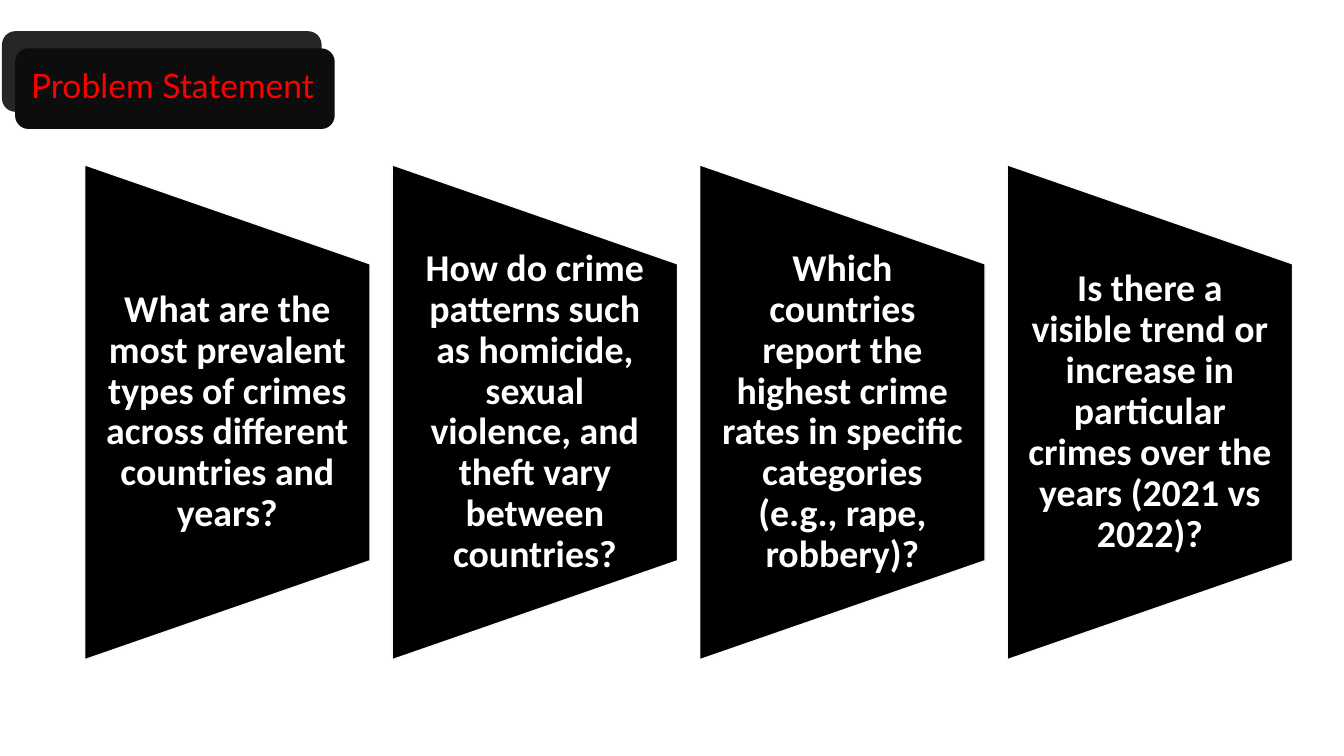
from pptx import Presentation
from pptx.dml.color import RGBColor
from pptx.enum.shapes import MSO_SHAPE
from pptx.enum.text import MSO_ANCHOR, MSO_AUTO_SIZE, PP_ALIGN
from pptx.util import Inches, Pt

ROUND = MSO_SHAPE.ROUNDED_RECTANGLE
FLOW = MSO_SHAPE.FLOWCHART_MANUAL_OPERATION
MIDDLE, TOP = MSO_ANCHOR.MIDDLE, MSO_ANCHOR.TOP
CENTER, LEFT = PP_ALIGN.CENTER, PP_ALIGN.LEFT
GROW, FIXED = MSO_AUTO_SIZE.SHAPE_TO_FIT_TEXT, MSO_AUTO_SIZE.NONE

TITLE = "Problem Statement"
ASKS = [
    "What are the most prevalent types of crimes across different countries and years?",
    "How do crime patterns such as homicide, sexual violence, and theft vary between countries?",
    "Which countries report the highest crime rates in specific categories (e.g., rape, robbery)?",
    "Is there a visible trend or increase in particular crimes over the years (2021 vs 2022)?",
]
THEME = {
    "back": "262626", "front": "0D0D0D", "panel": "000000", "edge": "F8F8F8",
    "title": {"name": "Lato", "size": Pt(24), "bold": False},
    "ask": {"name": "Calibri", "size": Pt(27), "bold": True},
    "title_ink": "FF0000", "ask_ink": "FFFFFF",
}
PLATES = [(0.02, 0.31, "back"), (0.15, 0.48, "front")]
PLATE = (3.17, 0.8)
START, STEP, WIDE, TALL, MID = 0.84, 3.05, 2.83, 4.91, 4.09
BODY = 2.95


def tint(key):
    return RGBColor.from_string(THEME[key])


def put(obj, vals):
    for key, val in vals.items():
        setattr(obj, key, val)


def block(kind, box, fill, edge=None):
    item = slide.shapes.add_shape(kind, *map(Inches, box))
    item.shadow.inherit = False
    item.fill.solid()
    item.fill.fore_color.rgb = tint(fill)
    if edge:
        item.line.color.rgb = tint(edge)
        item.line.width = Pt(1)
    else:
        item.line.fill.background()
    return item


def label(text, box, style, frame, para):
    body = slide.shapes.add_textbox(*map(Inches, box)).text_frame
    put(body, {"word_wrap": True, **frame})
    line = body.paragraphs[0]
    put(line, para)
    run = line.add_run()
    run.text = text
    put(run.font, THEME[style])
    run.font.color.rgb = tint(style + "_ink")


deck = Presentation()
put(deck, {"slide_width": Inches(13.33), "slide_height": Inches(7.5)})
slide = deck.slides.add_slide(deck.slide_layouts[6])

for left, top, fill in PLATES:
    block(ROUND, (left, top, *PLATE), fill)
label(TITLE, (0.21, 0.59, 3.67, 0.5), "title",
      {"auto_size": GROW, "vertical_anchor": TOP}, {"alignment": LEFT})

frame = {
    "auto_size": FIXED, "vertical_anchor": MIDDLE,
    "margin_left": Inches(0.19), "margin_right": Inches(0.19),
    "margin_top": 0, "margin_bottom": 0,
}
para = {"alignment": CENTER, "line_spacing": 0.9}
for i, ask in enumerate(ASKS):
    left = START + i * STEP
    box = (left + (WIDE - TALL) / 2, MID - WIDE / 2, TALL, WIDE)
    block(FLOW, box, "panel", "edge").rotation = 270
    label(ask, (left, MID - BODY / 2, WIDE, BODY), "ask", frame, para)

deck.save("out.pptx")
